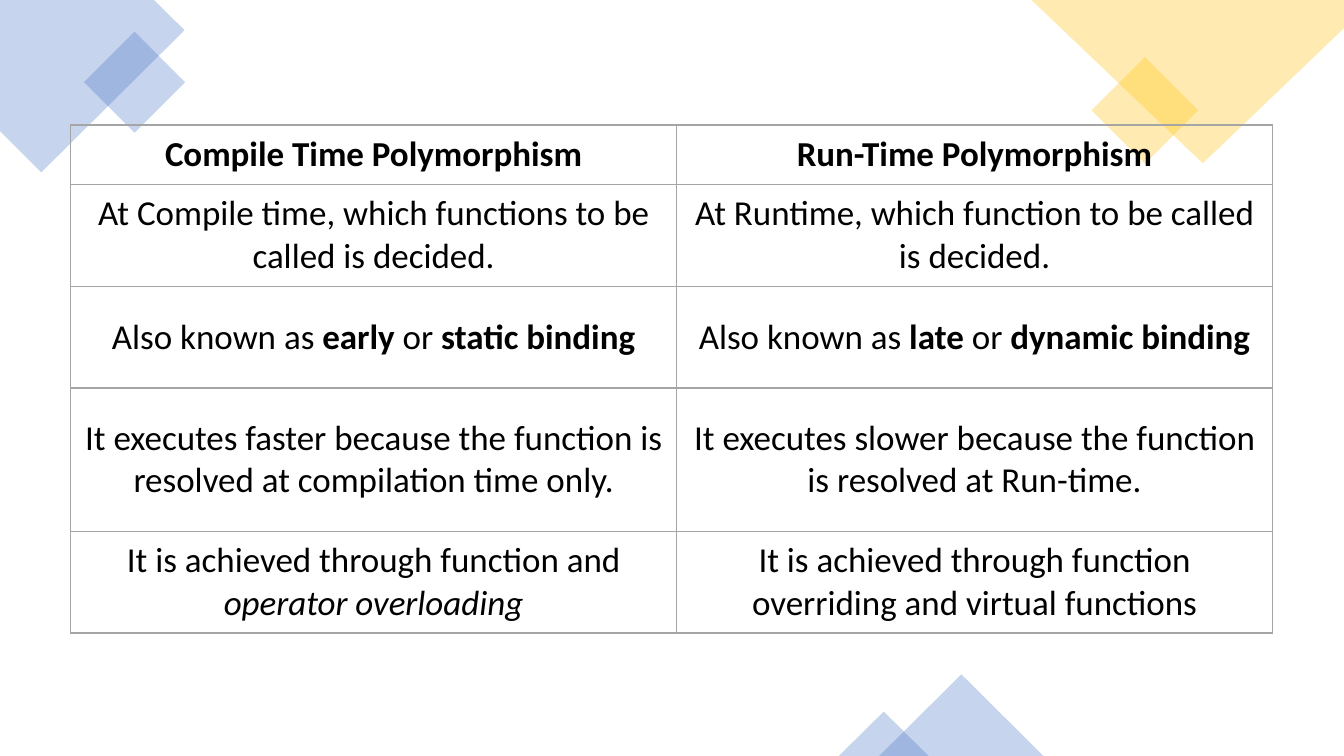
import pptx
import pptx.dml.color
import pptx.enum.shapes
import pptx.enum.text
import pptx.oxml
import pptx.oxml.ns
import pptx.util

Inches = pptx.util.Inches
Pt = pptx.util.Pt
RGBColor = pptx.dml.color.RGBColor
Shape = pptx.enum.shapes.MSO_SHAPE

BLUE = RGBColor(0x44, 0x72, 0xC4)
GOLD = RGBColor(0xFF, 0xC0, 0x00)
GRAY = RGBColor(0xA5, 0xA5, 0xA5)
BLACK = RGBColor(0, 0, 0)
OPACITY = 30
FONT = "Calibri"
TEXT_SIZE = 25
PAGE_WIDTH, PAGE_HEIGHT = 13.33, 7.5

BOLD = {"bold": True}
ITALIC = {"italic": True}
COLUMN_WIDTHS = [6.01, 5.91]
ROW_HEIGHTS = [0.59, 1.01, 1.01, 1.42, 1.01]
# Each cell is a list of (text, format) spans.
COMPARISON = [
    [[("Compile Time Polymorphism", BOLD)],
     [("Run-Time Polymorphism", BOLD)]],
    [[("At Compile time, which functions to be called is decided.", {})],
     [("At Runtime, which function to be called is decided.", {})]],
    [[("Also known as ", {}), ("early", BOLD), (" or ", {}), ("static binding", BOLD)],
     [("Also known as ", {}), ("late", BOLD), (" or ", {}), ("dynamic binding", BOLD)]],
    [[("It executes faster because the function is resolved at compilation time only.", {})],
     [("It executes slower because the function is resolved at Run-time.", {})]],
    [[("It is achieved through function and ", {}), ("operator overloading", ITALIC)],
     [("It is achieved through function overriding and virtual functions", {})]],
]


def tint(shape, color):
    """Give a shape a translucent fill without outline or shadow."""
    shape.shadow.inherit = False
    shape.line.fill.background()
    shape.fill.solid()
    shape.fill.fore_color.rgb = color
    color_node = shape.fill._xPr.find(".//" + pptx.oxml.ns.qn("a:srgbClr"))
    color_node.append(pptx.oxml.parse_xml(
        f'<a:alpha {pptx.oxml.ns.nsdecls("a")} val="{OPACITY * 1000}"/>'))


def add_polygon(page, left, top, points, color):
    corners = [(Inches(left + x), Inches(top + y)) for x, y in points]
    builder = page.shapes.build_freeform(*corners[0])
    builder.add_line_segments(corners[1:], close=True)
    tint(builder.convert_to_shape(), color)


def add_preset(page, kind, left, top, width, height, color, rotation=0):
    shape = page.shapes.add_shape(
        kind, Inches(left), Inches(top), Inches(width), Inches(height))
    shape.rotation = rotation
    tint(shape, color)


def add_left_corner(page, left, top):
    points = [(0, 0), (1.53, 0), (1.83, 0.3), (0.41, 1.71), (0, 1.3)]
    add_polygon(page, left, top, points, BLUE)
    add_preset(page, Shape.RECTANGLE, left + 0.98, top + 0.46, 0.71, 0.71, BLUE, 315)


def add_right_corner(page, right, top):
    add_preset(page, Shape.RECTANGLE, right - 2.35, top + 0.72, 0.75, 0.75, GOLD, 315)
    points = [(0, 0), (-3.1, 0), (-1.4, 1.62), (0, 0.28)]
    add_polygon(page, right, top, points, GOLD)


def add_bottom_peaks(page, left, bottom):
    for offset, width, height in [(0.4, 1.63, 0.81), (0, 0.89, 0.44)]:
        add_preset(page, Shape.ISOSCELES_TRIANGLE, left + offset, bottom - height,
                   width, height, BLUE)


def add_span(para, text, bold=False, italic=False, size=TEXT_SIZE, color=BLACK):
    span = para.add_run()
    span.text = text
    span.font.name = FONT
    span.font.size = Pt(size)
    span.font.bold = bold
    span.font.italic = italic
    span.font.color.rgb = color


def add_borders(cell):
    properties = cell._tc.get_or_add_tcPr()
    for index, side in enumerate("LRTB"):
        properties.insert(index, pptx.oxml.parse_xml(
            f'<a:ln{side} {pptx.oxml.ns.nsdecls("a")} w="{Pt(1)}">'
            f'<a:solidFill><a:srgbClr val="{GRAY}"/></a:solidFill></a:ln{side}>'))


def fill_cell(cell, spans):
    cell.fill.background()
    add_borders(cell)
    cell.vertical_anchor = pptx.enum.text.MSO_ANCHOR.MIDDLE
    cell.margin_left = cell.margin_right = Inches(0.14)
    cell.margin_top = cell.margin_bottom = Inches(0.07)
    para = cell.text_frame.paragraphs[0]
    para.alignment = pptx.enum.text.PP_ALIGN.CENTER
    for text, style in spans:
        add_span(para, text, **style)


def add_comparison(page, left, top):
    table = page.shapes.add_table(
        len(ROW_HEIGHTS), len(COLUMN_WIDTHS), Inches(left), Inches(top),
        Inches(sum(COLUMN_WIDTHS)), Inches(sum(ROW_HEIGHTS))).table
    table.horz_banding = False
    table.first_row = False
    for column, width in zip(table.columns, COLUMN_WIDTHS):
        column.width = Inches(width)
    for row, height, contents in zip(table.rows, ROW_HEIGHTS, COMPARISON):
        row.height = Inches(height)
        for cell, spans in zip(row.cells, contents):
            fill_cell(cell, spans)


def main():
    deck = pptx.Presentation()
    deck.slide_width = Inches(PAGE_WIDTH)
    deck.slide_height = Inches(PAGE_HEIGHT)
    page = deck.slides.add_slide(deck.slide_layouts[6])
    add_left_corner(page, 0, 0)
    add_right_corner(page, PAGE_WIDTH, 0)
    add_bottom_peaks(page, 8.32, PAGE_HEIGHT)
    add_comparison(page, 0.7, 1.24)
    deck.save("out.pptx")


if __name__ == "__main__":
    main()
